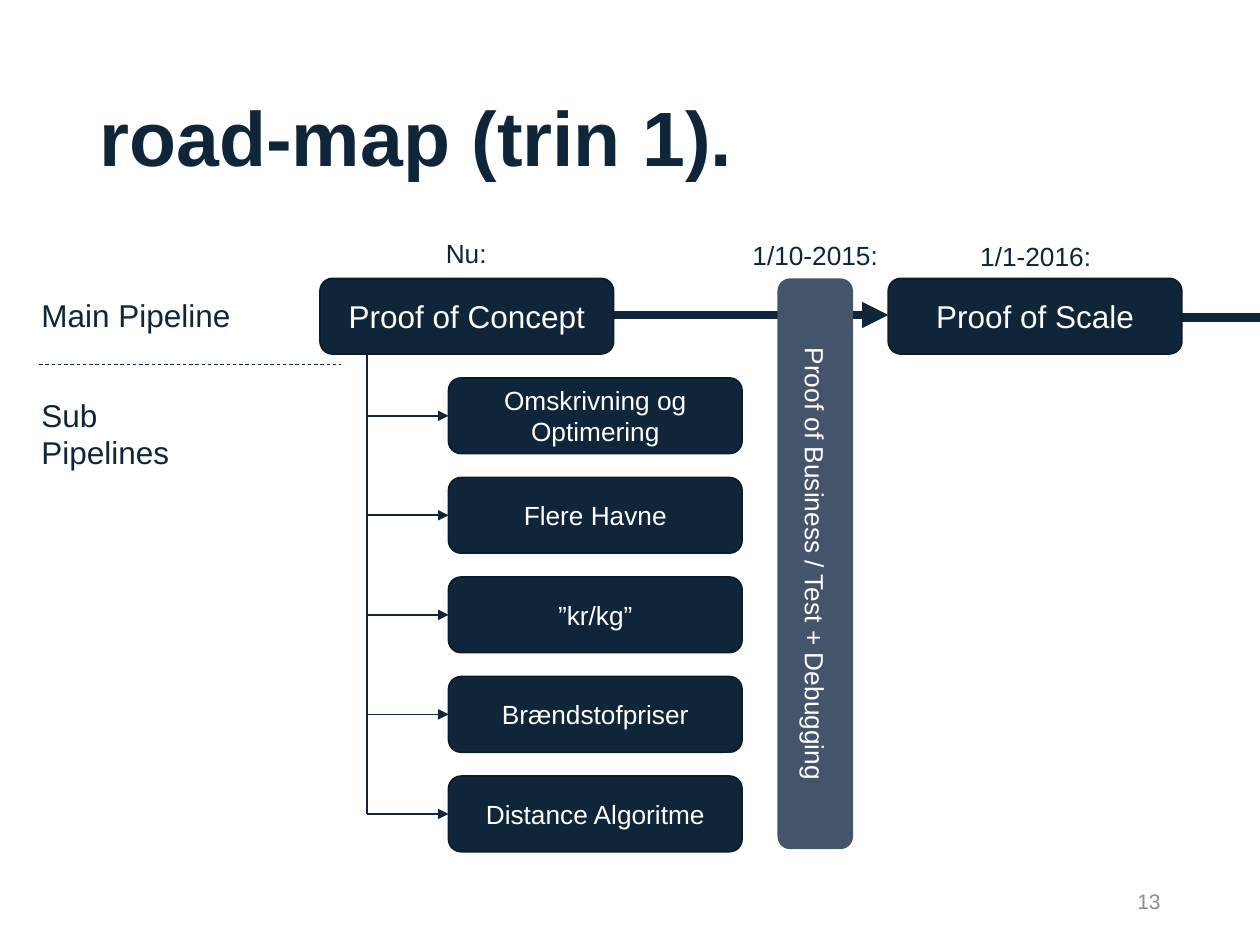
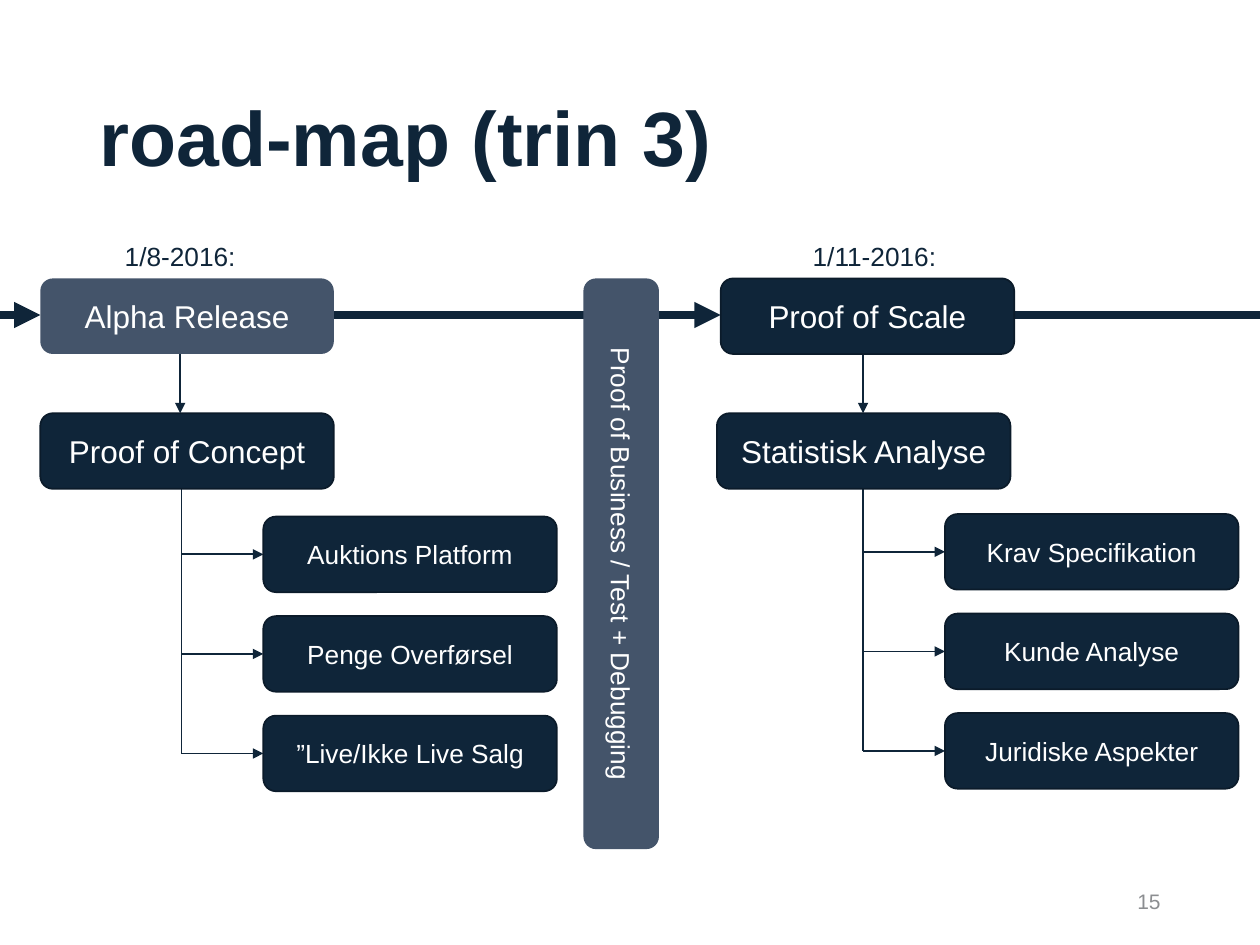
"""Builds two road-map slides with a main pipeline and its sub pipelines."""
import lxml.etree
import pptx
import pptx.dml.color
import pptx.enum.dml
import pptx.enum.shapes
import pptx.enum.text
import pptx.oxml.ns
import pptx.util

NAVY = pptx.dml.color.RGBColor(0x0F, 0x25, 0x39)
OUTLINE = pptx.dml.color.RGBColor(0x0B, 0x1B, 0x2A)
SLATE = pptx.dml.color.RGBColor(0x44, 0x54, 0x6A)
GREY = pptx.dml.color.RGBColor(0x8C, 0x8E, 0x91)
WHITE = pptx.dml.color.RGBColor(0xFF, 0xFF, 0xFF)
FONT = "Arial"
ALIGN = pptx.enum.text.PP_ALIGN
MIDDLE = pptx.enum.text.MSO_ANCHOR.MIDDLE

SLIDE_WIDTH, SLIDE_HEIGHT = 10, 7.5
BOX_WIDTH, BOX_HEIGHT = 2.33, 0.6
MAIN_TOP, SECOND_TOP = 2.21, 3.28
MAIN_LINE = 2.5
SUB_PITCH, SUB_INDENT = 0.79, 0.65
BAR_LENGTH = 4.53
BAR_TEXT = "Proof of Business / Test + Debugging"
DATE_WIDTH = 1.4

ROADMAPS = [
    {
        "title": "road-map (trin 1).",
        "number": "13",
        "dates": [("Nu:", 3.7, 1.83), ("1/10-2015:", 6.47, 1.85), ("1/1-2016:", 8.22, 1.86)],
        "main_arrows": [(4.87, 7.05, 2.5, True), (9.38, SLIDE_WIDTH, 2.52, False)],
        "bar_centre": 6.47,
        "boxes": [("Proof of Concept", 2.54, MAIN_TOP, NAVY), ("Proof of Scale", 7.05, MAIN_TOP, NAVY)],
        "down_arrows": [],
        "branches": [
            (2.91, MAIN_TOP, 3.0,
             ["Omskrivning og Optimering", "Flere Havne", "”kr/kg”", "Brændstofpriser", "Distance Algoritme"]),
        ],
        "lanes": [("Main Pipeline", 2.3, 1.75), ("Sub Pipelines", 3.09, 1.4)],
    },
    {
        "title": "road-map (trin 3)",
        "number": "15",
        "dates": [("1/8-2016:", 1.43, 1.86), ("1/11-2016:", 6.94, 1.86)],
        "main_arrows": [(0, 0.32, MAIN_LINE, True), (2.65, 5.72, MAIN_LINE, True),
                        (8.05, SLIDE_WIDTH, MAIN_LINE, False)],
        "bar_centre": 4.93,
        "boxes": [
            ("Alpha Release", 0.32, MAIN_TOP, SLATE),
            ("Proof of Concept", 0.32, SECOND_TOP, NAVY),
            ("Proof of Scale", 5.72, MAIN_TOP, NAVY),
            ("Statistisk Analyse", 5.69, SECOND_TOP, NAVY),
        ],
        "down_arrows": [1.43, 6.85],
        "branches": [
            (1.44, SECOND_TOP, 4.1, ["Auktions Platform", "Penge Overførsel", "”Live/Ikke Live Salg"]),
            (6.85, SECOND_TOP, 4.08, ["Krav Specifikation", "Kunde Analyse", "Juridiske Aspekter"]),
        ],
        "lanes": [],
    },
]


def inches(*lengths):
    return [pptx.util.Inches(length) for length in lengths]


def write(text_frame, text, size, colour, align, bold=False):
    text_frame.text = text
    text_frame.word_wrap = True
    paragraph = text_frame.paragraphs[0]
    paragraph.alignment = align
    font = paragraph.runs[0].font
    font.name, font.size, font.bold = FONT, pptx.util.Pt(size), bold
    font.color.rgb = colour
    return paragraph


def add_label(slide, text, area, size, colour=NAVY, align=ALIGN.LEFT):
    label = slide.shapes.add_textbox(*inches(*area))
    write(label.text_frame, text, size, colour, align)
    return label


def add_box(slide, text, area, size, fill=NAVY):
    shape = slide.shapes.add_shape(pptx.enum.shapes.MSO_SHAPE.ROUNDED_RECTANGLE, *inches(*area))
    shape.shadow.inherit = False
    shape.fill.solid()
    shape.fill.fore_color.rgb = fill
    if fill == NAVY:
        shape.line.color.rgb = OUTLINE
        shape.line.width = pptx.util.Pt(1)
    else:
        shape.line.fill.background()
    shape.text_frame.vertical_anchor = MIDDLE
    write(shape.text_frame, text, size, WHITE, ALIGN.CENTER)
    return shape


def add_line(slide, start, end, width=1, arrow=False, dash=None):
    connector = slide.shapes.add_connector(pptx.enum.shapes.MSO_CONNECTOR.STRAIGHT, *inches(*start, *end))
    connector.line.color.rgb = NAVY
    connector.line.width = pptx.util.Pt(width)
    if dash:
        connector.line.dash_style = dash
    properties = connector.element.spPr
    if arrow:
        outline = properties.find(pptx.oxml.ns.qn("a:ln"))
        lxml.etree.SubElement(outline, pptx.oxml.ns.qn("a:tailEnd"), type="triangle")
    lxml.etree.SubElement(properties, pptx.oxml.ns.qn("a:effectLst"))


def add_title(slide, text):
    title = slide.shapes.title
    title.left, title.top, title.width, title.height = inches(0.69, 0.4, 8.62, 1.45)
    title.text_frame.auto_size = pptx.enum.text.MSO_AUTO_SIZE.NONE
    title.text_frame.vertical_anchor = MIDDLE
    write(title.text_frame, text, 44, NAVY, ALIGN.LEFT, bold=True).line_spacing = 0.9


def add_branch(slide, trunk, parent_top, first_top, names):
    tops = [first_top + SUB_PITCH * row for row in range(len(names))]
    add_line(slide, (trunk, parent_top + BOX_HEIGHT), (trunk, tops[-1] + BOX_HEIGHT / 2))
    for name, top in zip(names, tops):
        middle, left = top + BOX_HEIGHT / 2, trunk + SUB_INDENT
        add_line(slide, (trunk, middle), (left, middle), arrow=True)
        add_box(slide, name, (left, top, BOX_WIDTH, BOX_HEIGHT), 15)


def add_roadmap(presentation, roadmap):
    slide = presentation.slides.add_slide(presentation.slide_layouts[5])
    add_title(slide, roadmap["title"])
    for start, end, height, arrow in roadmap["main_arrows"]:
        add_line(slide, (start, height), (end, height), width=5, arrow=arrow)
    for trunk in roadmap["down_arrows"]:
        add_line(slide, (trunk, MAIN_TOP + BOX_HEIGHT), (trunk, SECOND_TOP), arrow=True)
    for branch in roadmap["branches"]:
        add_branch(slide, *branch)
    for text, left, top, fill in roadmap["boxes"]:
        add_box(slide, text, (left, top, BOX_WIDTH, BOX_HEIGHT), 18, fill)
    bar_left = roadmap["bar_centre"] - BAR_LENGTH / 2
    bar_top = MAIN_TOP + (BAR_LENGTH - BOX_HEIGHT) / 2
    add_box(slide, BAR_TEXT, (bar_left, bar_top, BAR_LENGTH, BOX_HEIGHT), 15, SLATE).rotation = 90
    for text, centre, top in roadmap["dates"]:
        add_label(slide, text, (centre - DATE_WIDTH / 2, top, DATE_WIDTH, 0.35), 15, align=ALIGN.CENTER)
    for text, top, width in roadmap["lanes"]:
        add_label(slide, text, (0.23, top, width, 0.4), 18)
    if roadmap["lanes"]:
        add_line(slide, (0.31, 2.89), (2.71, 2.89), width=0.5, dash=pptx.enum.dml.MSO_LINE.DASH)
    number = add_label(slide, roadmap["number"], (7.06, 6.95, 2.25, 0.4), 12, GREY, ALIGN.RIGHT)
    number.text_frame.vertical_anchor = MIDDLE


def main():
    presentation = pptx.Presentation()
    presentation.slide_width, presentation.slide_height = inches(SLIDE_WIDTH, SLIDE_HEIGHT)
    for roadmap in ROADMAPS:
        add_roadmap(presentation, roadmap)
    presentation.save("out.pptx")


if __name__ == "__main__":
    main()
